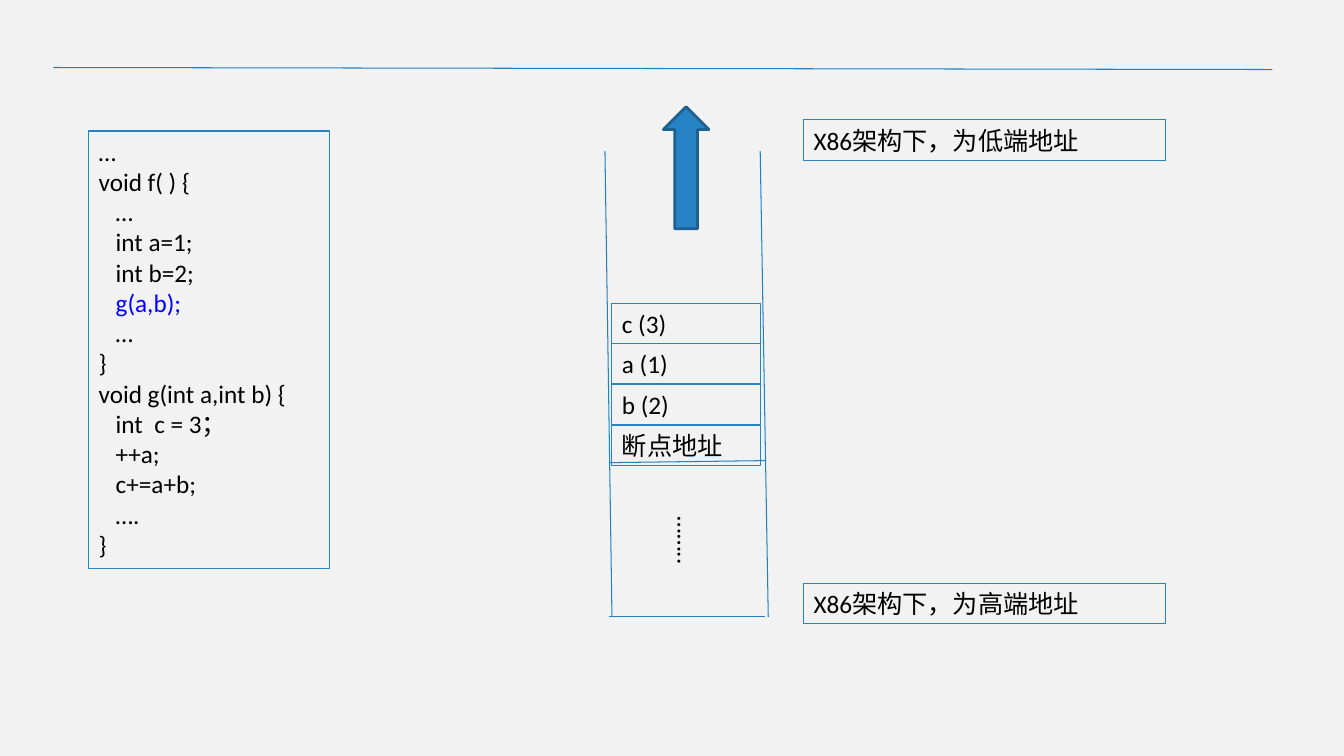
from dataclasses import dataclass

from lxml.etree import SubElement
from pptx import Presentation
from pptx.dml.color import RGBColor
from pptx.enum.shapes import MSO_CONNECTOR, MSO_SHAPE
from pptx.enum.text import MSO_ANCHOR, PP_ALIGN
from pptx.oxml.ns import qn
from pptx.util import Emu, Pt

PX = 9144  # 100 px to the inch


@dataclass(frozen=True)
class Theme:
    background: RGBColor = RGBColor(0xF2, 0xF2, 0xF2)
    line: RGBColor = RGBColor(0x21, 0x81, 0xC6)
    accent: RGBColor = RGBColor(0x26, 0x83, 0xC6)
    arrow_edge: RGBColor = RGBColor(0x1C, 0x61, 0x92)
    text: RGBColor = RGBColor(0, 0, 0)
    call: RGBColor = RGBColor(0, 0, 0xFF)
    font: str = "Calibri"
    size: Pt = Pt(18)
    thin: Pt = Pt(0.75)
    thick: Pt = Pt(2)


@dataclass(frozen=True)
class Box:
    left: int
    top: int
    width: int
    height: int
    text: str = ""

    def emu(self) -> list[Emu]:
        return [px(n) for n in (self.left, self.top, self.width, self.height)]


@dataclass(frozen=True)
class Line:
    x1: int
    y1: int
    x2: int
    y2: int


THEME = Theme()
CALL = "   g(a,b);"
CODE = """…
void f( ) {
   …
   int a=1;
   int b=2;
   g(a,b);
   …
}
void g(int a,int b) {
   int  c = 3；
   ++a;
   c+=a+b;
   ….
}"""

HEADER_RULE = Line(53, 67, 1262, 69)
STACK_LINES = [
    Line(600, 150, 607, 612),
    Line(754, 150, 762, 612),
    Line(604, 612, 759, 612),
    Line(604, 459, 759, 457),
]
STACK_TOP, STACK_BOTTOM = 301, 462
FRAME = ["c (3)", "a (1)", "b (2)", "断点地址"]
CELL_PITCH = (STACK_BOTTOM - STACK_TOP) / len(FRAME)
CELLS = [Box(607, STACK_TOP + round(i * CELL_PITCH), 147, 40, text)
         for i, text in enumerate(FRAME)]
ADDRESS_LABELS = [
    Box(797, 119, 359, 40, "X86架构下，为低端地址"),
    Box(797, 579, 359, 40, "X86架构下，为高端地址"),
]
CODE_BOX = Box(88, 130, 239, 434, CODE)
GROWTH_ARROW = Box(658, 106, 45, 121)
MORE_DOTS = Box(652, 503, 50, 123, "……..")


def px(n: int) -> Emu:
    return Emu(n * PX)


def add_line(slide, line: Line) -> None:
    ends = [px(n) for n in (line.x1, line.y1, line.x2, line.y2)]
    s = slide.shapes.add_connector(MSO_CONNECTOR.STRAIGHT, *ends)
    s.line.color.rgb = THEME.line
    s.line.width = THEME.thin
    SubElement(s._element.spPr, qn("a:effectLst"))


def write_text(tf, text: str) -> None:
    """Write one paragraph with line breaks, colouring the function call."""
    tf.word_wrap = True
    tf.vertical_anchor = MSO_ANCHOR.TOP
    p = tf.paragraphs[0]
    p.alignment = PP_ALIGN.LEFT
    p.font.name = THEME.font
    p.font.size = THEME.size
    p.font.color.rgb = THEME.text
    for i, row in enumerate(text.split("\n")):
        if i:
            p.add_line_break()
        r = p.add_run()
        r.text = row
        if row == CALL:
            r.font.color.rgb = THEME.call


def add_box(slide, box: Box) -> None:
    s = slide.shapes.add_shape(MSO_SHAPE.RECTANGLE, *box.emu())
    s.shadow.inherit = False
    s.fill.background()
    s.line.color.rgb = THEME.accent
    s.line.width = THEME.thin
    write_text(s.text_frame, box.text)


def add_arrow(slide, box: Box) -> None:
    s = slide.shapes.add_shape(MSO_SHAPE.UP_ARROW, *box.emu())
    s.shadow.inherit = False
    s.fill.solid()
    s.fill.fore_color.rgb = THEME.accent
    s.line.color.rgb = THEME.arrow_edge
    s.line.width = THEME.thick


def add_vertical_text(slide, box: Box) -> None:
    tf = slide.shapes.add_textbox(*box.emu()).text_frame
    write_text(tf, box.text)
    tf._txBody.bodyPr.set("vert", "eaVert")


def main() -> None:
    prs = Presentation()
    prs.slide_width, prs.slide_height = px(1333), px(750)
    slide = prs.slides.add_slide(prs.slide_layouts[6])
    slide.background.fill.solid()
    slide.background.fill.fore_color.rgb = THEME.background

    for line in [HEADER_RULE, *STACK_LINES]:
        add_line(slide, line)
    add_arrow(slide, GROWTH_ARROW)
    for box in [CODE_BOX, *CELLS, *ADDRESS_LABELS]:
        add_box(slide, box)
    add_vertical_text(slide, MORE_DOTS)
    prs.save("out.pptx")


if __name__ == "__main__":
    main()
